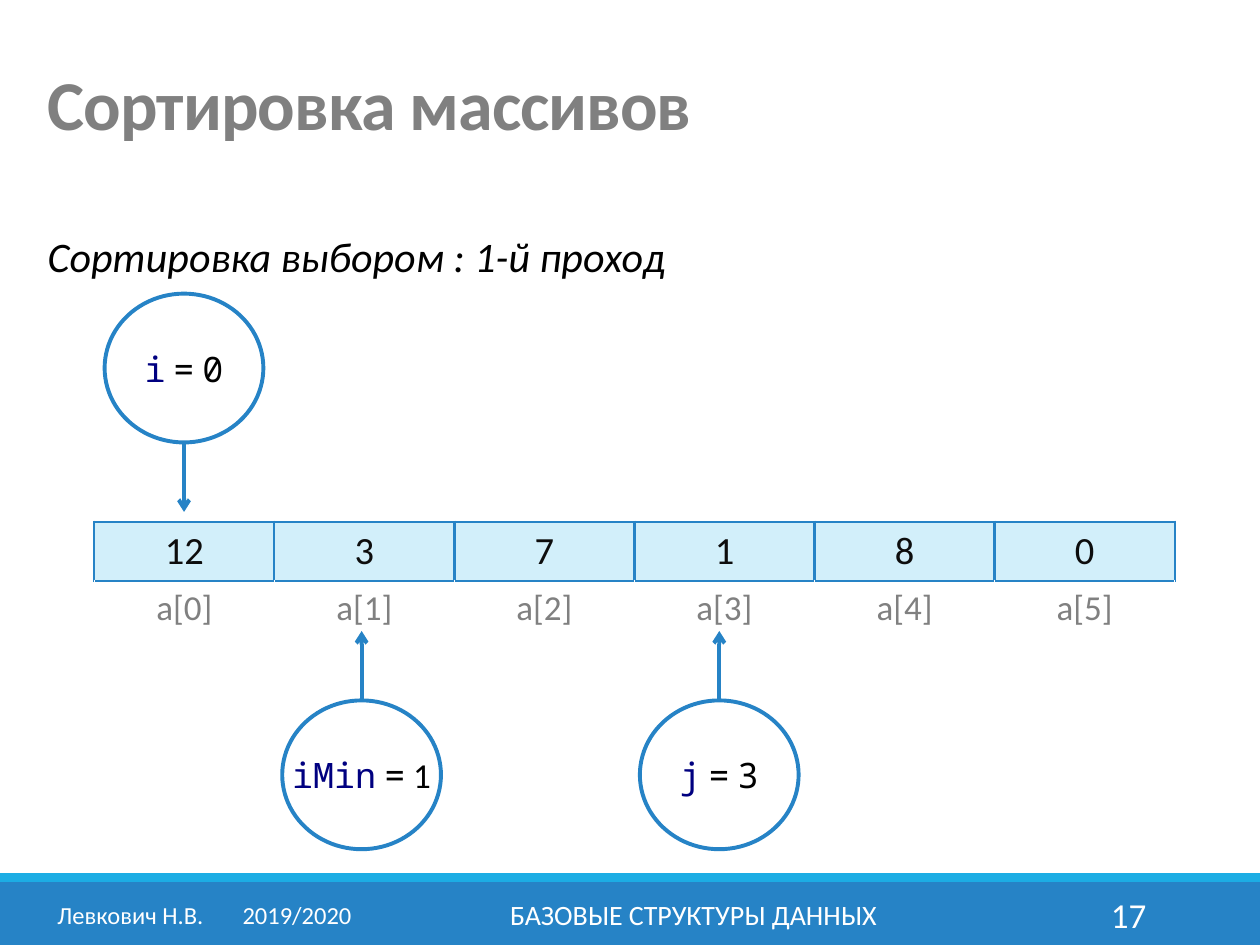
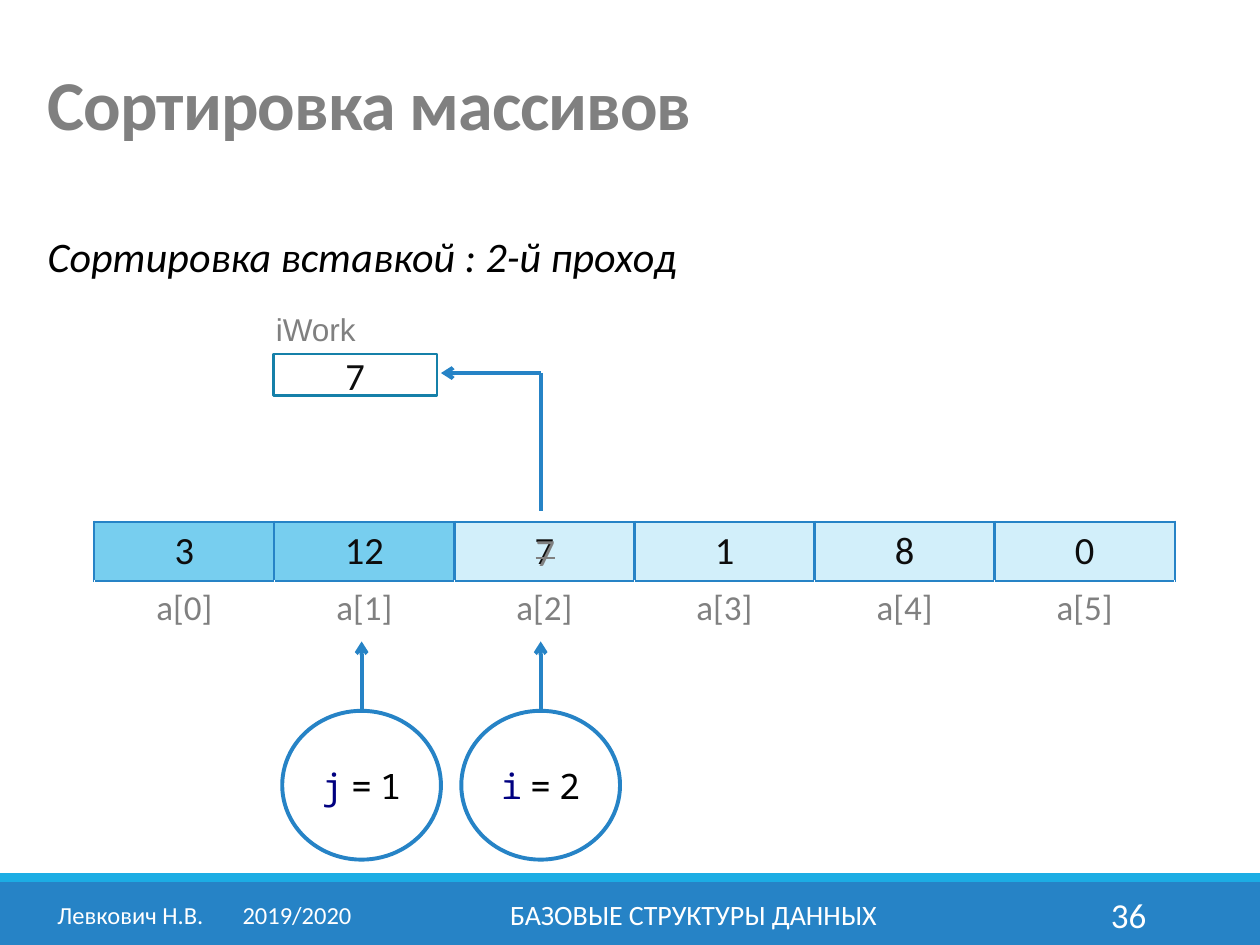
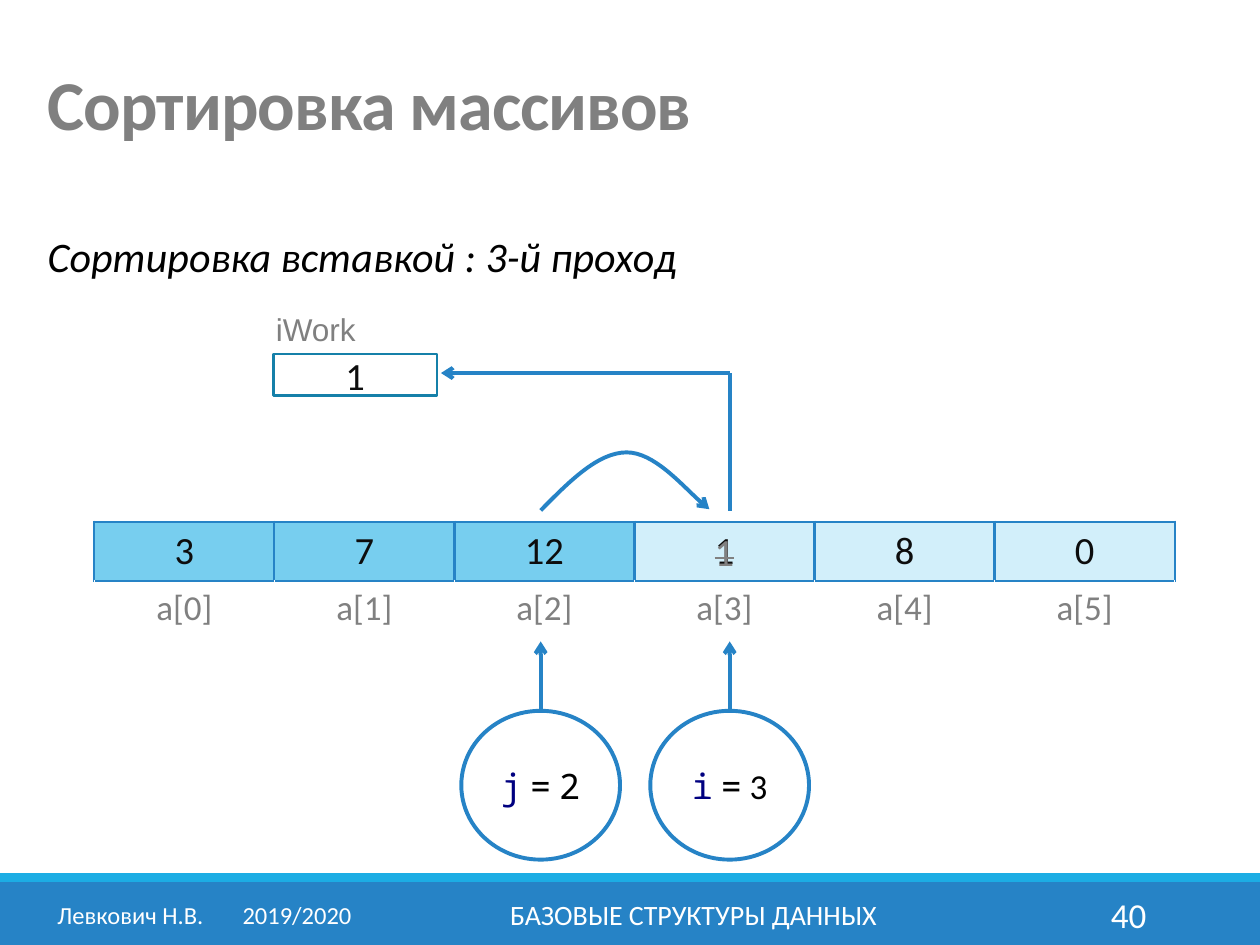
from lxml import etree
from pptx import Presentation
from pptx import util as u
from pptx.dml import color
from pptx.enum import shapes, text
from pptx.oxml import ns

Cm = u.Cm
BLUE, SKY, TEAL, NAVY = "2683C6", "1CADE4", "1580A9", "000080"
PALE, DONE = "D2EFFA", "77CEEF"
WHITE, BLACK, INK, GRAY = "FFFFFF", "000000", "0D0D0D", "808080"
SANS, MONO = "Calibri", "Noto Sans Mono"
MID, LEFT, RIGHT = (text.PP_ALIGN.CENTER, text.PP_ALIGN.LEFT,
                    text.PP_ALIGN.RIGHT)
COL, TOP = 3.63, 10.52
HIGH, LOW = 5.92, 14.33


def rgb(code):
    return color.RGBColor.from_string(code)


def node(home, tag, **attrs):
    return etree.SubElement(home, ns.qn(tag), attrs)


def add_run(para, words, size, tint, face=SANS, bold=False, slant=False,
            **attrs):
    run = para.add_run()
    run.text = words
    font = run.font
    font.size, font.name, font.bold, font.italic = u.Pt(size), face, bold, slant
    font.color.rgb = rgb(tint)
    for key, value in attrs.items():
        run._r.get_or_add_rPr().set(key, value)


def write(frame, *runs, align=MID, mid=True):
    frame.word_wrap = True
    if mid:
        frame.vertical_anchor = text.MSO_ANCHOR.MIDDLE
    para = frame.paragraphs[0]
    para.alignment = align
    for words, size, tint, *rest in runs:
        extra = rest.pop() if rest and isinstance(rest[-1], dict) else {}
        add_run(para, words, size, tint, *rest, **extra)
    return para


def label(slide, box, *runs, **how):
    frame = slide.shapes.add_textbox(*map(Cm, box)).text_frame
    return write(frame, *runs, **how)


def shape(slide, kind, box, fill=None, line=None, width=1.5):
    item = slide.shapes.add_shape(kind, *map(Cm, box))
    item.shadow.inherit = False
    if fill:
        item.fill.solid()
        item.fill.fore_color.rgb = rgb(fill)
    else:
        item.fill.background()
    if line:
        item.line.color.rgb = rgb(line)
        item.line.width = u.Pt(width)
    else:
        item.line.fill.background()
    return item


def tip(item):
    node(item.line._get_or_add_ln(), "a:tailEnd", type="arrow")


def link(slide, *ends, arrow=True):
    item = slide.shapes.add_connector(shapes.MSO_CONNECTOR.STRAIGHT,
                                      *map(Cm, ends))
    item.line.color.rgb = rgb(BLUE)
    item.line.width = u.Pt(2.25)
    if arrow:
        tip(item)
    node(item._element.spPr, "a:effectLst")


def footer(slide, box, number):
    x, y, w, h = box
    rect = shapes.MSO_SHAPE.RECTANGLE
    shape(slide, rect, (x, y + 0.18, w, h - 0.18), BLUE)
    shape(slide, rect, (x, y, w, 0.18), SKY)
    row = y + 0.33
    label(slide, (x + 7.67, row, 12.62, 1.02),
          ("БАЗОВЫЕ СТРУКТУРЫ ДАННЫХ", 16, WHITE))
    label(slide, (x + 20.62, row, 2.74, 1.02), (str(number), 20, WHITE),
          align=RIGHT)
    para = label(slide, (x + 0.81, row, 6.63, 1.02),
                 ("Левкович Н.В.\t2019/2020", 14, WHITE))
    tabs = node(para._p.get_or_add_pPr(), "a:tabLst")
    node(tabs, "a:tab", pos=str(Cm(3.73)), algn="l")


def header(slide, box, topic):
    x, y, w, h = box
    para = label(slide, (x, y, w, 2.92),
                 ("Сортировка массивов", 40, GRAY,
                  {"bold": True, "spc": "-50"}), align=LEFT)
    para.line_spacing = 0.85
    para = label(slide, (x, y + h - 1.27, w, 1.27),
                 (topic, 24, BLACK, {"slant": True}), align=LEFT, mid=False)
    para.space_before, para.space_after = u.Pt(12), u.Pt(6)


def paint(cell, fill, edges):
    props = cell._tc.get_or_add_tcPr()
    for side, (tint, width) in zip("LRTB", edges):
        line = node(props, "a:ln" + side, w=str(u.Pt(width)))
        node(node(line, "a:solidFill"), "a:srgbClr", val=tint)
    cell.fill.solid()
    cell.fill.fore_color.rgb = rgb(fill)


def array(slide, box, values, done):
    x, y, w, h = map(Cm, box)
    table = slide.shapes.add_table(2, len(values), x, y, w, h).table
    table.first_row = table.horz_banding = False
    table.rows[0].height, table.rows[1].height = Cm(1.19), Cm(1.1)
    edge, blank = (BLUE, 1.5), (WHITE, 1)
    for k, value in enumerate(values):
        table.columns[k].width = Cm(COL)
        cell = table.cell(0, k)
        write(cell.text_frame, (str(value), 22, INK), mid=False)
        paint(cell, DONE if k < done else PALE, [edge] * 4)
        cell = table.cell(1, k)
        write(cell.text_frame, (f"a[{k}]", 20, GRAY))
        cell.vertical_anchor = text.MSO_ANCHOR.MIDDLE
        paint(cell, WHITE, [blank, blank, edge, blank])


def pin(slide, x, y, name, value, face=MONO, down=False):
    wide, tall, reach = 3.2, 3, 1.4
    start, end = (y + tall, y + tall + reach) if down else (y, y - reach)
    link(slide, x, start, x, end)
    ring = shape(slide, shapes.MSO_SHAPE.OVAL, (x - wide / 2, y, wide, tall),
                 line=BLUE, width=2.25)
    frame = ring.text_frame
    if len(name) > 1:
        ring = label(slide, (x - wide / 2, y, wide, tall))
        frame = slide.shapes[-1].text_frame
        frame.margin_left = frame.margin_right = 0
    write(frame, (name, 20, NAVY, MONO), (" ", 20, BLACK),
          ("=", 20, BLACK, MONO), (" ", 20, BLACK),
          (str(value), 20, BLACK, face))


def store(slide, box, value, source):
    x, y, w, h = box
    label(slide, (x - 0.2, y - 1.02, 2.21, 1.02),
          ("iWork", 18, GRAY, "Arial"), align=LEFT, mid=False)
    cell = shape(slide, shapes.MSO_SHAPE.RECTANGLE, box, line=TEAL)
    write(cell.text_frame, (str(value), 22, INK))
    bend = y + 0.38
    link(slide, source, bend, x + w + 0.08, bend)
    link(slide, source, bend, source, TOP - 0.21, arrow=False)


def strike(slide, x, value):
    label(slide, (x, TOP, 3.81, 1.19),
          (str(value), 22, GRAY, {"strike": "sngStrike"}), mid=False)


def arc(slide, box):
    x, y, w, h = box
    spots = [(0, 1), (0.17, 0.5), (0.34, 0), (0.51, 0),
             (0.67, 0), (0.9, 0.76), (1, 0.98)]
    marks = [(Cm(x + w * a), Cm(y + h * b)) for a, b in spots]
    pen = slide.shapes.build_freeform(*marks[0])
    pen.add_line_segments(marks[1:], close=False)
    item = pen.convert_to_shape()
    item.shadow.inherit = False
    item.fill.background()
    item.line.color.rgb = rgb(BLUE)
    item.line.width = u.Pt(2.25)
    tip(item)
    steps = list(item._element.iter(ns.qn("a:lnTo")))
    track = steps[0].getparent()
    for k in range(0, len(steps), 3):
        curve = node(track, "a:cubicBezTo")
        for step in steps[k:k + 3]:
            curve.append(step[0])
            track.remove(step)


def page(deck, number, topic, values, done=0):
    slide = deck.slides.add_slide(deck.slide_layouts[6])
    footer(slide, (0, 17.6, 25.4, 1.45), number)
    header(slide, (0.71, 0.74, 24, 5.05), topic)
    array(slide, (1.9, TOP, 6 * COL, 2.29), values, done)
    return slide


def main():
    deck = Presentation()
    deck.slide_width, deck.slide_height = Cm(25.4), Cm(19.05)
    work = (5.51, 7.14, 3.3, 0.84)

    slide = page(deck, 17, "Сортировка выбором : 1-й проход",
                 [12, 3, 7, 1, 8, 0])
    pin(slide, 3.71, HIGH, "i", 0, down=True)
    pin(slide, 7.29, 14.12, "iMin", 1, SANS)
    pin(slide, 14.5, 14.12, "j", 3)

    slide = page(deck, 36, "Сортировка вставкой : 2-й проход",
                 [3, 12, 7, 1, 8, 0], 2)
    store(slide, work, 7, 10.9)
    pin(slide, 7.29, LOW, "j", 1)
    pin(slide, 10.9, LOW, "i", 2)
    strike(slide, 9.09, 7)

    slide = page(deck, 40, "Сортировка вставкой : 3-й проход",
                 [3, 7, 12, 1, 8, 0], 3)
    store(slide, work, 1, 14.71)
    pin(slide, 10.9, LOW, "j", 2)
    pin(slide, 14.71, LOW, "i", 3, SANS)
    arc(slide, (10.9, 9.12, 3.4, 1.17))
    strike(slide, 12.7, 1)

    deck.save("out.pptx")


if __name__ == "__main__":
    main()
